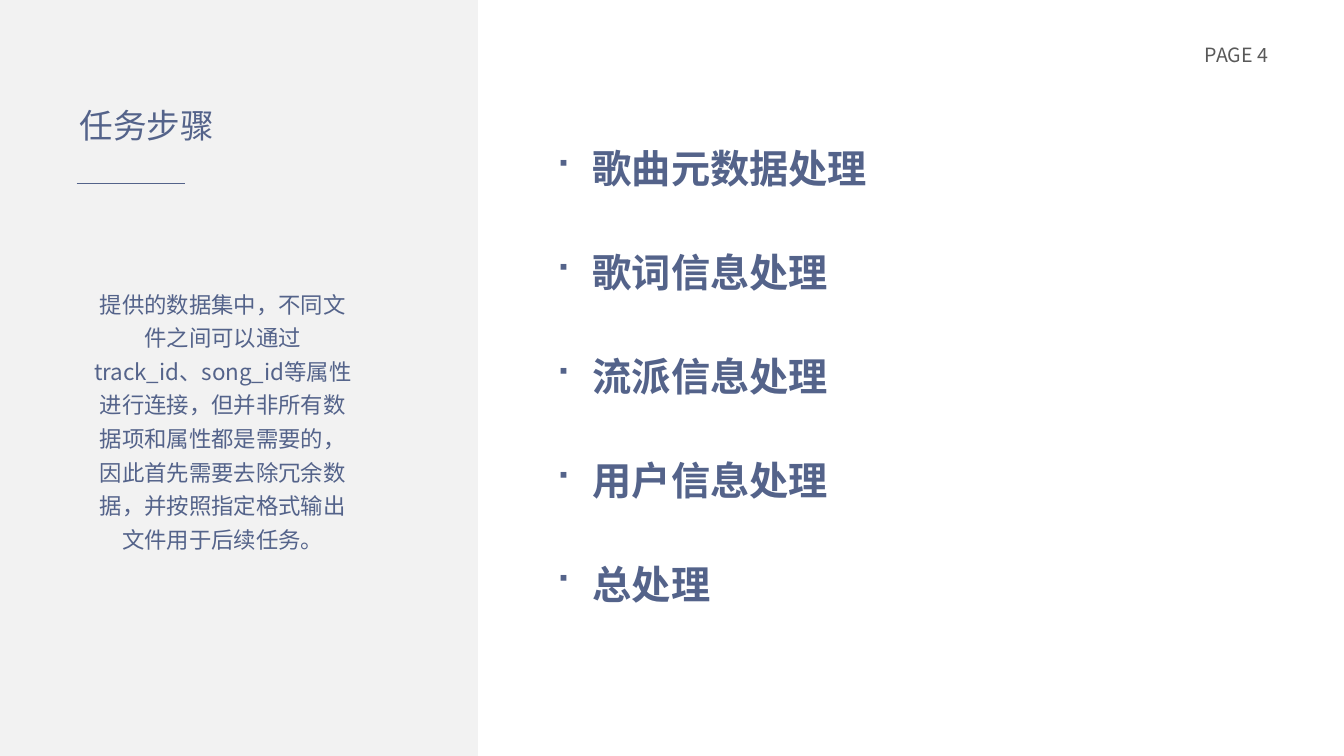
from dataclasses import dataclass

from lxml.etree import SubElement
from pptx import Presentation
from pptx.dml.color import RGBColor
from pptx.enum.shapes import MSO_CONNECTOR, MSO_SHAPE
from pptx.enum.text import MSO_ANCHOR, MSO_AUTO_SIZE, PP_ALIGN
from pptx.oxml.ns import qn
from pptx.slide import Slide
from pptx.util import Emu, Pt

EMU_PER_PX = 9144  # 100 px to the inch


@dataclass(frozen=True)
class Theme:
    font: str = "Noto Sans CJK SC"
    bullet_font: str = "Wingdings"
    accent: str = "54638A"
    panel: str = "F2F2F2"
    muted: str = "595959"
    page_size: int = 14
    body_size: int = 16
    title_size: int = 24
    step_size: int = 28


THEME = Theme()


@dataclass(frozen=True)
class TextBlock:
    text: str
    left: int
    top: int
    width: int
    height: int
    size: int
    color: str = THEME.accent
    bold: bool = False
    align: PP_ALIGN = PP_ALIGN.LEFT
    anchor: MSO_ANCHOR = MSO_ANCHOR.TOP
    line_spacing: float = 1.0
    side_inset: int = 0
    bullet: str = ""


PAGE_LABEL = TextBlock("PAGE 4", 1053, 38, 205, 34, THEME.page_size,
                       color=THEME.muted, align=PP_ALIGN.RIGHT)
TITLE = TextBlock("任务步骤", 79, 97, 448, 60, THEME.title_size,
                  anchor=MSO_ANCHOR.MIDDLE, line_spacing=0.9)
SUMMARY = TextBlock(
    "提供的数据集中，不同文件之间可以通过track_id、song_id等属性进行连接，"
    "但并非所有数据项和属性都是需要的，因此首先需要去除冗余数据，"
    "并按照指定格式输出文件用于后续任务。",
    83, 277, 276, 277, THEME.body_size,
    align=PP_ALIGN.CENTER, line_spacing=1.25, side_inset=10)

STEPS = ("歌曲元数据处理", "歌词信息处理", "流派信息处理", "用户信息处理", "总处理")
STEP_TOP, STEP_PITCH, STEP_INDENT = 127, 103, 38


def px(length: int) -> Emu:
    return Emu(length * EMU_PER_PX)


def apply_format(target: object, values: dict[str, object]) -> None:
    for name, value in values.items():
        setattr(target, name, value)


def add_bullet(para, mark: str) -> None:
    """Give the paragraph a hanging bullet."""
    properties = para._p.get_or_add_pPr()
    properties.set("marL", str(px(STEP_INDENT)))
    properties.set("indent", str(-px(STEP_INDENT)))
    SubElement(properties, qn("a:buFont"), typeface=THEME.bullet_font)
    SubElement(properties, qn("a:buChar"), char=mark)


def add_text(slide: Slide, block: TextBlock) -> None:
    box = slide.shapes.add_textbox(
        px(block.left), px(block.top), px(block.width), px(block.height))
    frame = box.text_frame
    apply_format(frame, {
        "word_wrap": True,
        "auto_size": MSO_AUTO_SIZE.SHAPE_TO_FIT_TEXT,
        "vertical_anchor": block.anchor,
        "margin_left": px(block.side_inset),
        "margin_right": px(block.side_inset),
        "margin_top": px(5),
        "margin_bottom": px(5),
    })
    para = frame.paragraphs[0]
    apply_format(para, {"alignment": block.align, "line_spacing": block.line_spacing})
    if block.bullet:
        add_bullet(para, block.bullet)
    span = para.add_run()
    span.text = block.text
    apply_format(span.font, {
        "name": THEME.font, "size": Pt(block.size), "bold": block.bold})
    span.font.color.rgb = RGBColor.from_string(block.color)
    SubElement(span.font._element, qn("a:ea"), typeface=THEME.font)


def add_side_panel(slide: Slide) -> None:
    panel = slide.shapes.add_shape(MSO_SHAPE.RECTANGLE, 0, 0, px(474), px(750))
    panel.shadow.inherit = False
    panel.fill.solid()
    panel.fill.fore_color.rgb = RGBColor.from_string(THEME.panel)
    panel.line.fill.background()


def add_title_rule(slide: Slide) -> None:
    rule = slide.shapes.add_connector(
        MSO_CONNECTOR.STRAIGHT, px(76), px(182), px(184), px(182))
    rule.line.color.rgb = RGBColor.from_string(THEME.accent)
    rule.line.width = Pt(0.5)
    SubElement(rule._element.spPr, qn("a:effectLst"))


def main() -> None:
    deck = Presentation()
    deck.slide_width, deck.slide_height = px(1333), px(750)
    slide = deck.slides.add_slide(deck.slide_layouts[6])

    add_text(slide, PAGE_LABEL)
    add_side_panel(slide)
    add_text(slide, TITLE)
    add_title_rule(slide)
    add_text(slide, SUMMARY)
    for index, step in enumerate(STEPS):
        add_text(slide, TextBlock(
            step, 550, STEP_TOP + index * STEP_PITCH, 707, 65, THEME.step_size,
            bold=True, line_spacing=1.25, bullet="■"))

    deck.save("out.pptx")


if __name__ == "__main__":
    main()
